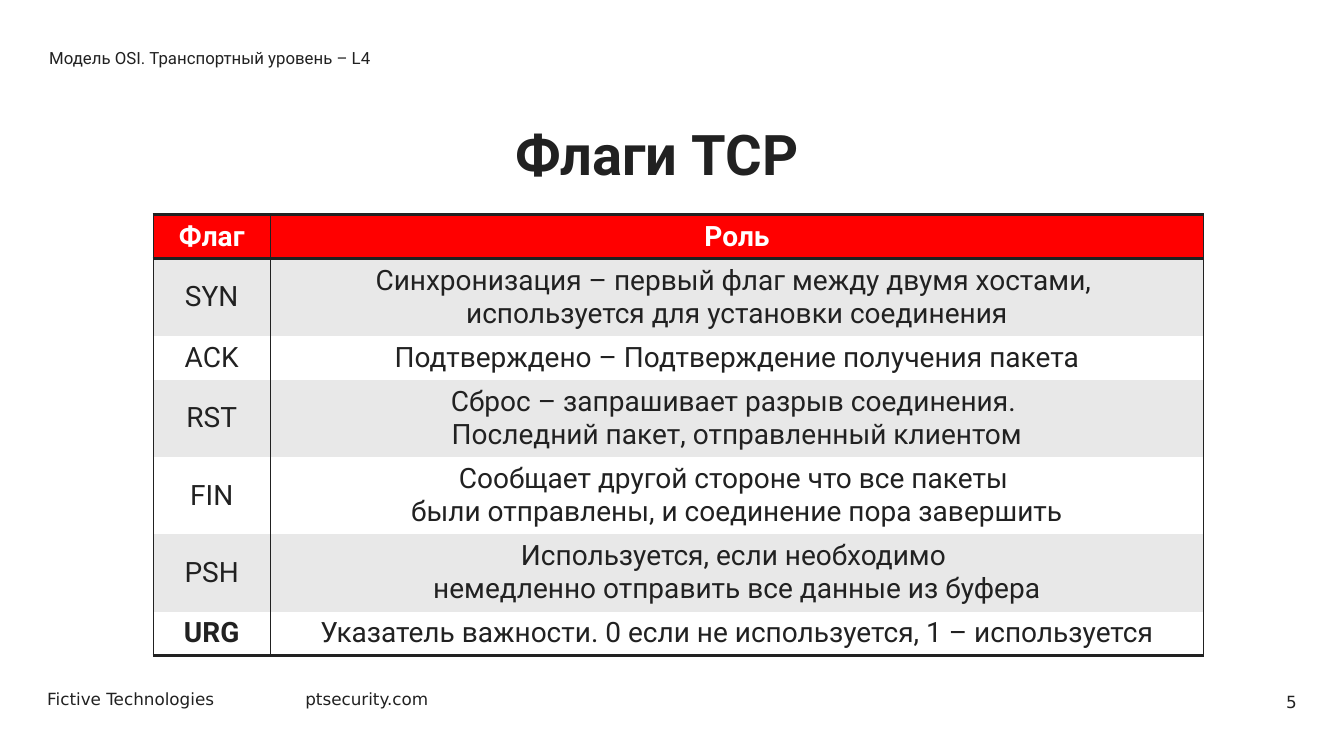
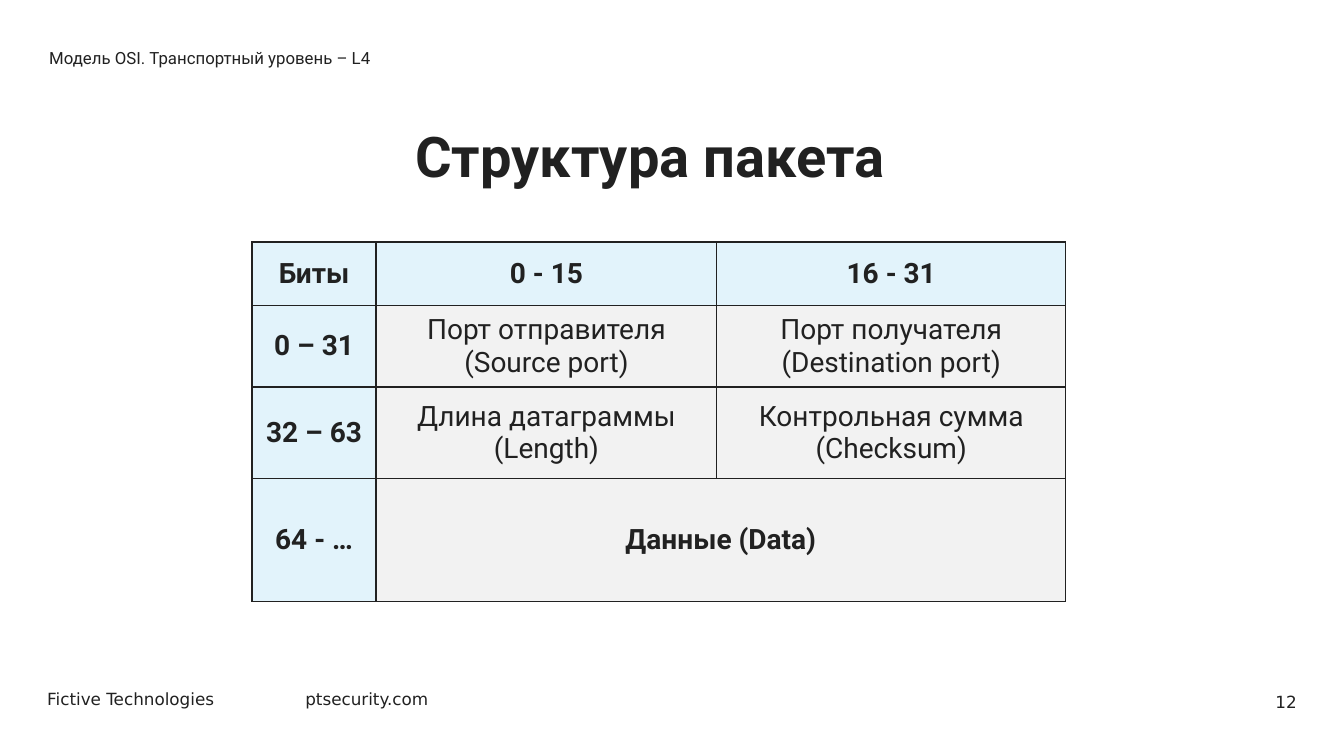
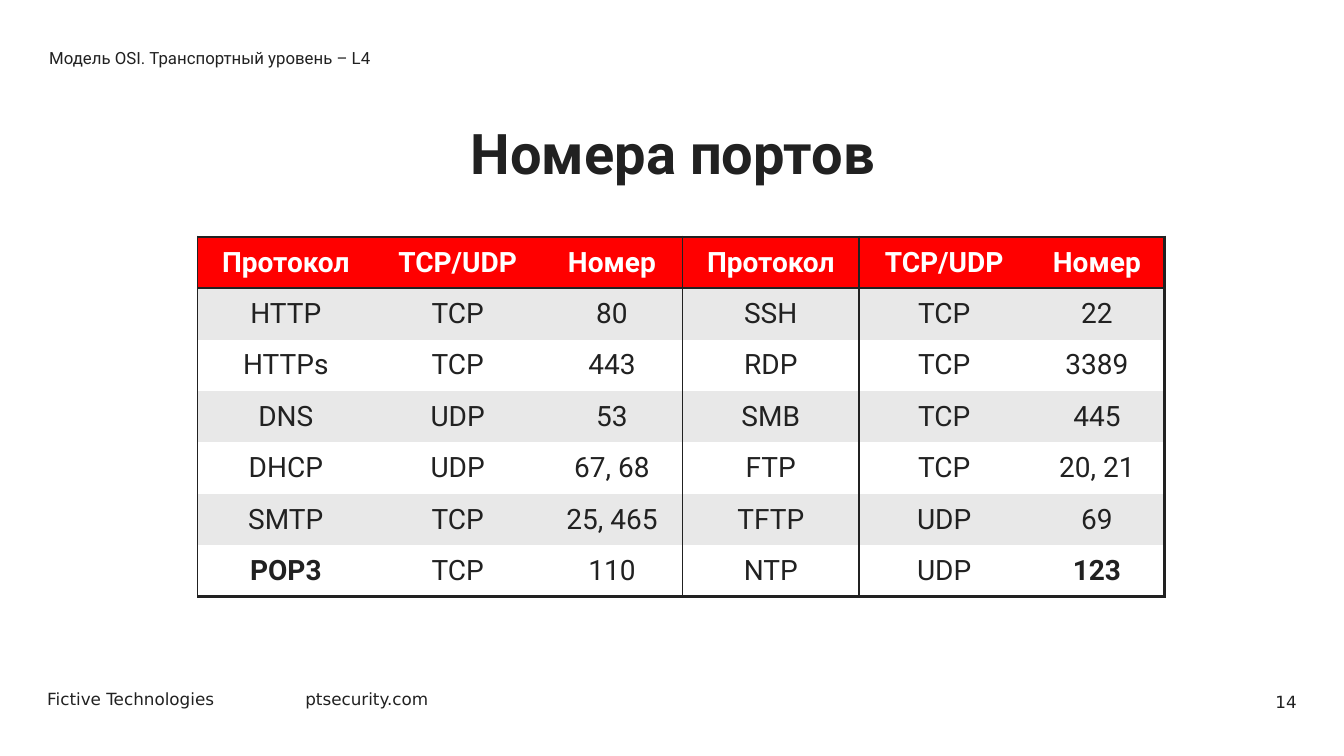
from lxml import etree
from pptx import Presentation
from pptx.dml.color import RGBColor as RGB
from pptx.enum.text import MSO_ANCHOR as Anchor, PP_ALIGN as Align
from pptx.oxml.ns import qn
from pptx.util import Inches, Pt

# Colours and text styles
INK = RGB(0x21, 0x21, 0x21)
WHITE = RGB(0xFF, 0xFF, 0xFF)
RED = RGB(0xFF, 0x00, 0x00)
GREY = RGB(0xE8, 0xE8, 0xE8)
PALE = RGB(0xF2, 0xF2, 0xF2)
BLUE = RGB(0xE2, 0xF3, 0xFB)

TITLE = {"name": "Roboto", "size": Pt(40), "bold": True}
TOPIC = {"name": "Roboto", "size": Pt(12)}
FOOT = {"name": "DejaVu Sans", "size": Pt(12)}
BODY = {"name": "Roboto", "size": Pt(20), "bold": False}
HEAD = BODY | {"bold": True}
PLAIN = "{2D5ABB26-0587-4C30-8999-92F81FD0307C}"  # no style, no grid


def write(frame, text, style, color=INK, **form):
    """Fill a text frame and style its one paragraph."""
    frame.text = text
    para = frame.paragraphs[0]
    for key, val in form.items():
        setattr(para, key, val)
    for run in para.runs:
        for key, val in style.items():
            setattr(run.font, key, val)
        run.font.color.rgb = color


def edge(cell, side, width):
    """Draw one border of a cell, or switch it off when width is 0."""
    line = etree.SubElement(cell._tc.get_or_add_tcPr(), qn("a:ln" + side))
    line.set("w", str(Pt(width)))
    if width:
        fill = etree.SubElement(line, qn("a:solidFill"))
        etree.SubElement(fill, qn("a:srgbClr")).set("val", str(INK))
    else:
        etree.SubElement(line, qn("a:noFill"))


# Slide content: lines give the border width in points at each grid edge
PAGES = [
    {
        "num": "5", "title": "Флаги TCP", "box": (5.01, 1.14, 4.82), "at": (1.52, 2.13),
        "cols": [1.16, 9.26], "rows": [0.43, 0.75, 0.43, 0.75, 0.75, 0.75, 0.43],
        "down": {0: 1, 1: 1, 2: 1}, "across": {0: 2, 1: 2, 7: 2},
        "bold": ["URG"], "banded": True,
        "cells": [
            ["Флаг", "Роль"],
            ["SYN", "Синхронизация – первый флаг между двумя хостами, \v"
                    "используется для установки соединения"],
            ["ACK", "Подтверждено – Подтверждение получения пакета"],
            ["RST", "Сброс – запрашивает разрыв соединения. \v"
                    "Последний пакет, отправленный клиентом"],
            ["FIN", "Сообщает другой стороне что все пакеты \v"
                    "были отправлены, и соединение пора завершить"],
            ["PSH", "Используется, если необходимо \v"
                    "немедленно отправить все данные из буфера"],
            ["URG", "Указатель важности. 0 если не используется, 1 – используется"],
        ],
    },
    {
        "num": "12", "title": "Структура пакета", "box": (4.02, 1.16, 5.49), "at": (2.5, 2.4),
        "cols": [1.23, 3.38, 3.46], "rows": [0.63, 0.81, 0.91, 1.22],
        "down": dict.fromkeys(range(4), 1), "across": dict.fromkeys(range(5), 1),
        "bold": ["Данные (Data)"], "banded": False,
        "cells": [
            ["Биты", "0 - 15", "16 - 31"],
            ["0 – 31", "Порт отправителя (Source port)", "Порт получателя (Destination port)"],
            ["32 – 63", "Длина датаграммы (Length)", "Контрольная сумма (Checksum)"],
            ["64 - …", "Данные (Data)", None],
        ],
    },
    {
        "num": "14", "title": "Номера портов", "box": (4.57, 1.13, 4.86), "at": (1.96, 2.35),
        "cols": [1.75, 1.66, 1.4, 1.75, 1.69, 1.34], "rows": [0.51] * 7,
        "down": {0: 1, 3: 1, 4: 1, 6: 2}, "across": {0: 2, 1: 2, 7: 2},
        "bold": ["POP3", "123"], "banded": True,
        "cells": [
            ["Протокол", "TCP/UDP", "Номер"] * 2,
            ["HTTP", "TCP", "80", "SSH", "TCP", "22"],
            ["HTTPs", "TCP", "443", "RDP", "TCP", "3389"],
            ["DNS", "UDP", "53", "SMB", "TCP", "445"],
            ["DHCP", "UDP", "67, 68", "FTP", "TCP", "20, 21"],
            ["SMTP", "TCP", "25, 465", "TFTP", "UDP", "69"],
            ["POP3", "TCP", "110", "NTP", "UDP", "123"],
        ],
    },
]

deck = Presentation()
deck.slide_width, deck.slide_height = Inches(13.33), Inches(7.5)

for page in PAGES:
    slide = deck.slides.add_slide(deck.slide_layouts[6])

    # Footer, page number, title and topic line
    left, top, width = page["box"]
    for text, place, style, anchor, form in [
        ("Fictive Technologies", (0.37, 6.78, 1.98, 0.3), FOOT, Anchor.TOP, {}),
        ("ptsecurity.com", (2.93, 6.78, 1.44, 0.3), FOOT, Anchor.TOP, {}),
        (page["num"], (10.72, 6.76, 2.24, 0.4), FOOT, Anchor.MIDDLE, {"alignment": Align.RIGHT}),
        (page["title"], (left, top, width, 1.2), TITLE, Anchor.TOP, {"line_spacing": Pt(48)}),
        ("Модель OSI. Транспортный уровень – L4", (0.39, 0.37, 10.33, 0.4), TOPIC,
         Anchor.MIDDLE, {}),
    ]:
        frame = slide.shapes.add_textbox(*map(Inches, place)).text_frame
        frame.word_wrap = True
        frame.vertical_anchor = anchor
        write(frame, text, style, **form)

    # Table grid
    cols, rows = page["cols"], page["rows"]
    size = (*page["at"], sum(cols), sum(rows))
    table = slide.shapes.add_table(len(rows), len(cols), *map(Inches, size)).table
    table._tbl.tblPr.find(qn("a:tableStyleId")).text = PLAIN
    table.horz_banding = False
    for col, width in zip(table.columns, cols):
        col.width = Inches(width)
    for row, height in zip(table.rows, rows):
        row.height = Inches(height)

    # Table cells
    for r, line in enumerate(page["cells"]):
        for c, text in enumerate(line):
            cell = table.cell(r, c)
            for side, lines, spot in [("L", "down", c), ("R", "down", c + 1),
                                      ("T", "across", r), ("B", "across", r + 1)]:
                edge(cell, side, page[lines].get(spot, 0))
            if page["banded"]:
                head = r == 0
                fill = RED if head else GREY if r % 2 else WHITE
            else:
                head = r == 0 or c == 0
                fill = BLUE if head else PALE
            cell.fill.solid()
            cell.fill.fore_color.rgb = fill
            if text is None:
                table.cell(r, c - 1).merge(cell)
                continue
            cell.vertical_anchor = Anchor.MIDDLE
            write(cell.text_frame, text, HEAD if head or text in page["bold"] else BODY,
                  WHITE if fill == RED else INK, alignment=Align.CENTER)

deck.save("out.pptx")
